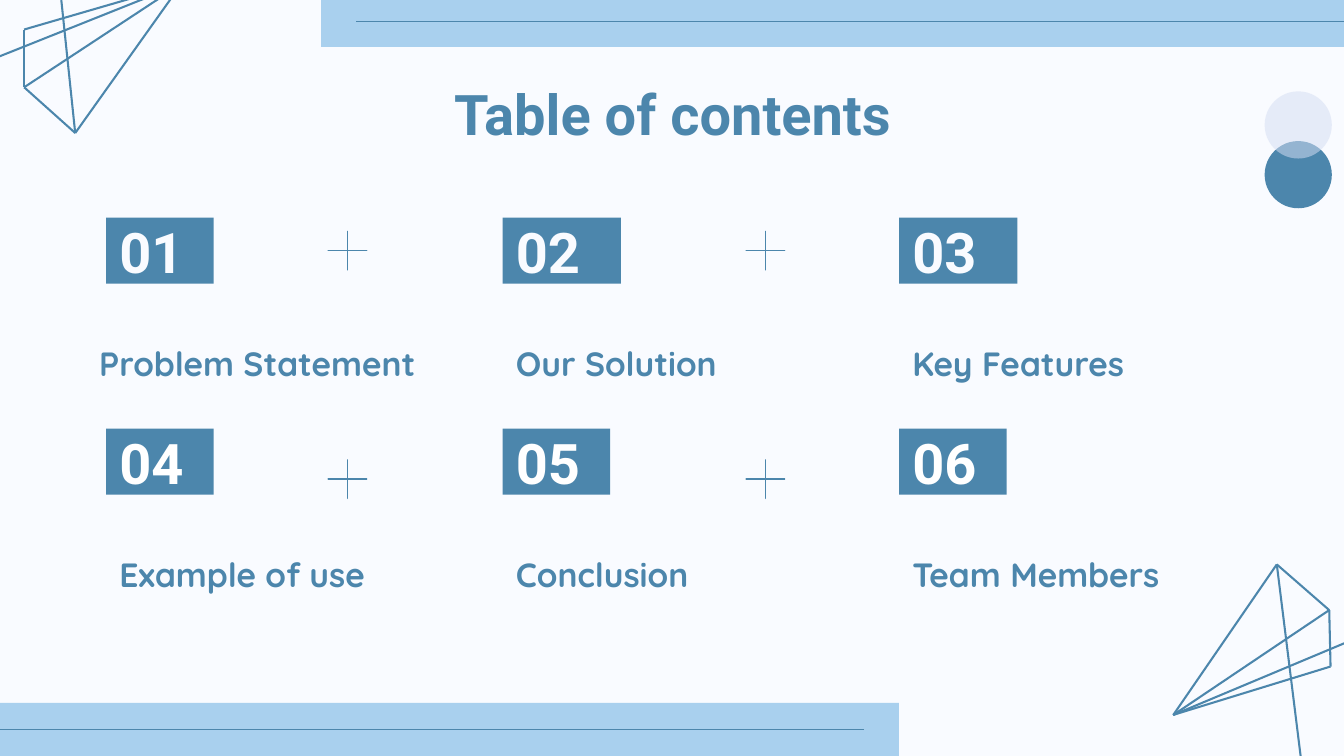
from lxml.etree import SubElement
from pptx import Presentation
from pptx.dml.color import RGBColor
from pptx.enum.shapes import MSO_CONNECTOR as Connector, MSO_SHAPE as Shape
from pptx.enum.text import MSO_ANCHOR as Anchor, MSO_AUTO_SIZE as AutoSize, PP_ALIGN as Align
from pptx.oxml.ns import qn
from pptx.util import Inches, Pt

BLUE, SKY, LAVENDER = "4C86AC", "A9D0EE", "D5DEF3"
PAPER, WHITE = "F9FBFF", "FFFFFF"
HEADING_FONT, BODY_FONT = "Roboto", "Quicksand"

KITE_EDGES = [("nose", "tip"), ("nose", "tail"), ("shoulder", "tip"),
              ("nose", "shoulder"), ("shoulder", "wing"), ("far", "tip"), ("wing", "tip")]
KITES = [
    dict(tip=(1.35, -0.12), nose=(0.56, 0.99), shoulder=(0.18, 0.65),
         wing=(0.18, 0.22), tail=(0.4, -0.54), far=(-0.33, 0.55)),
    dict(tip=(8.73, 5.32), nose=(9.5, 4.2), shoulder=(9.89, 4.54),
         wing=(9.9, 4.96), tail=(9.69, 5.73), far=(10.4, 4.62)),
]

COLUMNS = [0.79, 3.74, 6.69]
TOPICS = [["Problem Statement", "Our Solution", "Key Features"],
          ["Example of use", "Conclusion", "Team Members"]]
ROWS = [dict(top=1.62, plus_top=1.67, widths=[0.8, 0.88, 0.88], color=PAPER),
        dict(top=3.19, plus_top=3.37, widths=[0.8, 0.8, 0.8], color=WHITE)]


def rgb(value):
    return RGBColor.from_string(value)


def write_text(shape, text, size=18, font=BODY_FONT, color=BLUE,
               align=Align.LEFT, anchor=Anchor.MIDDLE):
    frame = shape.text_frame
    frame.word_wrap = True
    frame.auto_size = AutoSize.NONE
    frame.vertical_anchor = anchor
    frame.margin_left = frame.margin_right = Inches(0.1)
    frame.margin_top = frame.margin_bottom = Inches(0.1)
    paragraph = frame.paragraphs[0]
    paragraph.alignment = align
    run = paragraph.add_run()
    run.text = text
    run.font.size = Pt(size)
    run.font.name = font
    run.font.bold = True
    run.font.color.rgb = rgb(color)


class SlideBuilder:
    def __init__(self, slide, line_color=BLUE, line_width=0.75):
        self.slide = slide
        self.line_color = line_color
        self.line_width = line_width
        background = slide.background.fill
        background.solid()
        background.fore_color.rgb = rgb(PAPER)

    def outline(self, shape, width=None):
        shape.line.color.rgb = rgb(self.line_color)
        shape.line.width = Pt(width or self.line_width)

    def title(self, text, *box):
        title = self.slide.shapes.title
        title.left, title.top, title.width, title.height = map(Inches, box)
        write_text(title, text, size=30, font=HEADING_FONT,
                   align=Align.CENTER, anchor=Anchor.TOP)

    def block(self, kind, *box, fill=BLUE, opacity=None):
        shape = self.slide.shapes.add_shape(kind, *map(Inches, box))
        shape.shadow.inherit = False
        shape.fill.solid()
        shape.fill.fore_color.rgb = rgb(fill)
        shape.line.fill.background()
        if opacity is not None:
            color = shape._element.spPr.find(".//" + qn("a:srgbClr"))
            SubElement(color, qn("a:alpha"), val=str(opacity * 1000))
        return shape

    def label(self, text, *box):
        shape = self.slide.shapes.add_textbox(*map(Inches, box))
        write_text(shape, text, anchor=Anchor.BOTTOM)

    def rule(self, left, right, top):
        line = self.slide.shapes.add_connector(
            Connector.STRAIGHT, Inches(left), Inches(top), Inches(right), Inches(top))
        self.outline(line)
        SubElement(line._element.spPr, qn("a:effectLst"))

    def plus(self, left, top, size=0.39):
        shape = self.slide.shapes.add_shape(
            Shape.MATH_PLUS, *map(Inches, (left, top, size, size)))
        shape.adjustments[0] = 0
        shape.shadow.inherit = False
        shape.fill.background()
        self.outline(shape)

    def kite(self, points):
        for start, end in KITE_EDGES:
            builder = self.slide.shapes.build_freeform(*map(Inches, points[start]))
            builder.add_line_segments([tuple(map(Inches, points[end]))], close=False)
            edge = builder.convert_to_shape()
            edge.shadow.inherit = False
            edge.fill.background()
            self.outline(edge, width=1.1)


def main():
    presentation = Presentation()
    presentation.slide_width = Inches(10)
    presentation.slide_height = Inches(10) * 9 // 16
    page = SlideBuilder(presentation.slides.add_slide(presentation.slide_layouts[5]))

    for kite in KITES:
        page.kite(kite)
    page.block(Shape.RECTANGLE, 2.39, -0.04, 7.96, 0.39, fill=SKY)
    page.rule(2.65, 10.85, 0.16)
    page.block(Shape.RECTANGLE, -1.27, 5.23, 7.96, 0.4, fill=SKY)
    page.rule(6.43, -1.77, 5.43)
    page.block(Shape.OVAL, 9.41, 1.05, 0.5, 0.5)
    page.block(Shape.OVAL, 9.41, 0.68, 0.5, 0.5, fill=LAVENDER, opacity=53)

    page.title("Table of contents", 0.79, 0.49, 8.43, 0.63)
    number = 0
    for row, topics in zip(ROWS, TOPICS):
        for left, width, topic in zip(COLUMNS, row["widths"], topics):
            number += 1
            badge = page.block(Shape.RECTANGLE, left, row["top"], width, 0.49)
            write_text(badge, f"{number:02d}", size=30, font=HEADING_FONT, color=row["color"])
            outdent = 0.15 if number == 1 else 0
            page.label(topic, left - outdent, row["top"] + 0.63, 2.52 + outdent, 0.7)
        for left in (2.39, 5.5):
            page.plus(left, row["plus_top"])

    presentation.save("out.pptx")


if __name__ == "__main__":
    main()
